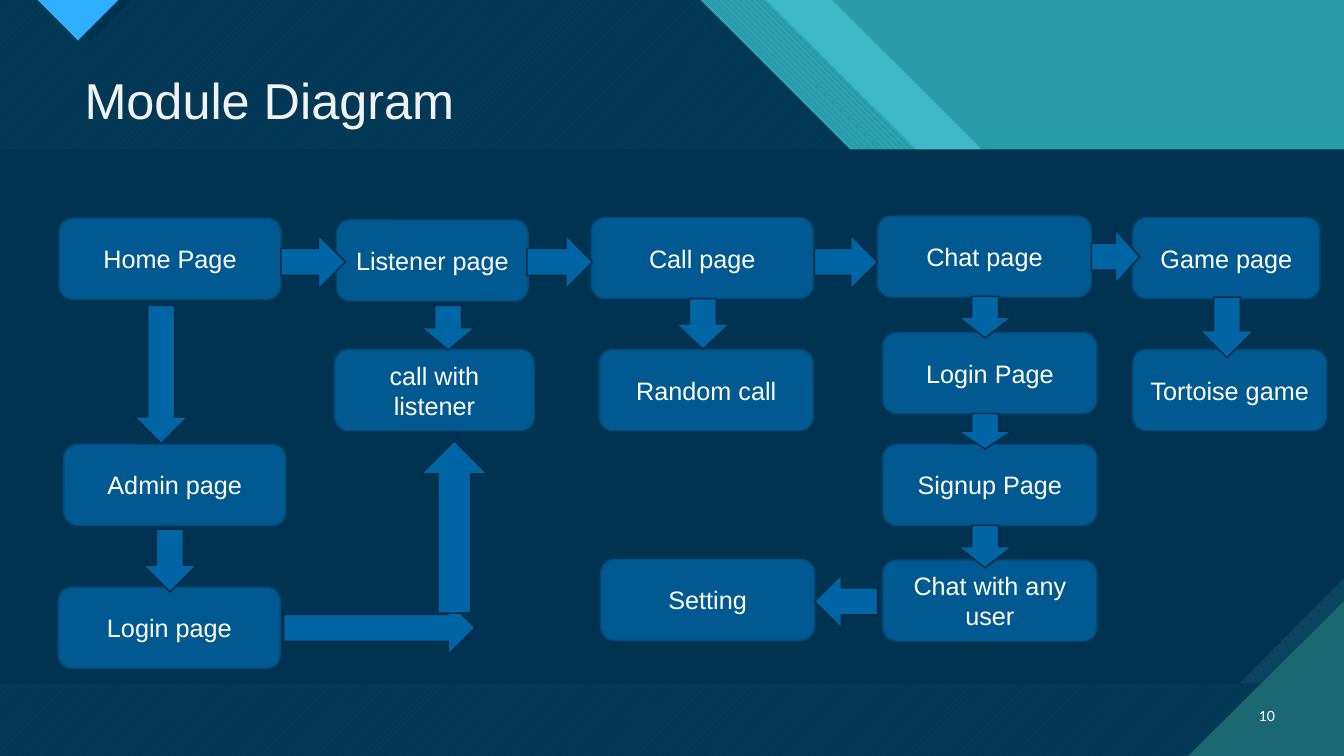
from lxml import etree
from pptx import Presentation
from pptx.dml.color import RGBColor
from pptx.enum.dml import MSO_PATTERN as PATTERN
from pptx.enum.shapes import MSO_SHAPE as SHAPE
from pptx.enum.text import MSO_ANCHOR as ANCHOR, PP_ALIGN as ALIGN
from pptx.oxml.ns import qn
from pptx.util import Inches, Pt

NAVY = RGBColor(0x00, 0x33, 0x52)
STEEL = RGBColor(0x0C, 0x43, 0x60)
PINE = RGBColor(0x1B, 0x68, 0x72)
TEAL = RGBColor(0x29, 0x9C, 0xAB)
AQUA = RGBColor(0x47, 0xC3, 0xD3)
SKY = RGBColor(0x2F, 0xAF, 0xFF)
BLUE = RGBColor(0x00, 0x65, 0xA4)
BOX_EDGE = RGBColor(0x00, 0x4C, 0x7B)
ARROW_EDGE = RGBColor(0x00, 0x2C, 0x48)
WHITE = RGBColor(0xFF, 0xFF, 0xFF)
PALE = RGBColor(0xF2, 0xF2, 0xF2)


def paint(sp, color, alpha=100, edge=None):
    sp.shadow.inherit = False
    sp.fill.solid()
    sp.fill.fore_color.rgb = color
    if alpha < 100:
        clr = sp._element.spPr.find(qn("a:solidFill"))[0]
        etree.SubElement(clr, qn("a:alpha")).set("val", str(alpha * 1000))
    if edge is None:
        sp.line.fill.background()
    else:
        sp.line.color.rgb = edge
        sp.line.width = Pt(1)


def write(sp, text, size=18, font="Arial", color=WHITE, align=ALIGN.CENTER, anchor=ANCHOR.MIDDLE):
    tf = sp.text_frame
    tf.word_wrap = True
    tf.vertical_anchor = anchor
    p = tf.paragraphs[0]
    p.alignment = align
    r = p.add_run()
    r.text = text
    r.font.size = Pt(size)
    r.font.name = font
    r.font.color.rgb = color


prs = Presentation()
prs.slide_width = Inches(13.33)
prs.slide_height = Inches(7.5)
COL = prs.slide_width / 100
ROW = prs.slide_height / 100
s = prs.slides.add_slide(prs.slide_layouts[6])
s.background.fill.solid()
s.background.fill.fore_color.rgb = TEAL

body = [(0, 0), (52.1, 0), (74.4, 39.6), (83.85, 39.6), (100, 68.3), (100, 100), (0, 100)]
backdrop = [
    ([(0, 0), (61.9, 0), (84.2, 39.6), (92.55, 39.6), (100, 52.8), (100, 100), (0, 100)], AQUA, 74, None),
    ([(5, 0), (57, 0), (79.35, 39.6), (88.8, 39.6), (100, 59.6), (100, 100), (5, 100)],
     AQUA, 100, (PATTERN.WIDE_DOWNWARD_DIAGONAL, TEAL)),
    (body, AQUA, 100, (PATTERN.WIDE_UPWARD_DIAGONAL, PINE)),
    (body, NAVY, 90, None),
    ([(3.6, 0), (6.75, 5.5), (9.8, 0)], NAVY, 100, None),
    ([(2.8, 0), (5.8, 5.35), (8.8, 0)], SKY, 100, None),
    ([(92.2, 90.4), (100, 76.4), (100, 90.4)], STEEL, 100, None),
    ([(0, 19.75), (100, 19.75), (100, 76.4), (92.2, 90.4), (0, 90.4)], NAVY, 100, None),
    ([(88.4, 100), (100, 100), (100, 79.5)], PINE, 100, None),
]
for points, color, alpha, weave in backdrop:
    corners = [(round(x * COL), round(y * ROW)) for x, y in points]
    outline = s.shapes.build_freeform(*corners[0], scale=1.0)
    outline.add_line_segments(corners[1:], close=True)
    sp = outline.convert_to_shape()
    paint(sp, color, alpha)
    if weave:
        sp.fill.patterned()
        sp.fill.pattern, sp.fill.back_color.rgb = weave
        sp.fill.fore_color.rgb = color

labels = [
    ("10", 92.3, 92.1, 3.3, 5.3,
     dict(size=10, font="Lato", align=ALIGN.RIGHT)),
    ("Module Diagram", 5.55, 8.5, 50, 9.5,
     dict(size=36, color=PALE, align=ALIGN.LEFT, anchor=ANCHOR.TOP)),
]
for text, x, y, w, h, style in labels:
    sp = s.shapes.add_textbox(round(x * COL), round(y * ROW), round(w * COL), round(h * ROW))
    write(sp, text, **style)

BOX_H = 10.7
boxes = [
    ("Home Page", 4.4, 28.9, 16.5),
    ("Admin page", 4.75, 58.8, 16.5),
    ("Login page", 4.35, 77.7, 16.5),
    ("Listener page", 25.05, 29.1, 14.25),
    ("call with listener", 24.9, 46.25, 14.85),
    ("Call page", 44, 28.8, 16.5),
    ("Random call", 44.6, 46.25, 15.9),
    ("Setting", 44.7, 74, 15.9),
    ("Chat page", 65.3, 28.6, 15.9),
    ("Login Page", 65.7, 44, 15.9),
    ("Signup Page", 65.7, 58.8, 15.9),
    ("Chat with any user", 65.7, 74.1, 15.9),
    ("Game page", 84.3, 28.8, 13.9),
    ("Tortoise game", 84.3, 46.25, 14.4),
]
for text, x, y, w in boxes:
    sp = s.shapes.add_shape(SHAPE.ROUNDED_RECTANGLE, round(x * COL), round(y * ROW),
                            round(w * COL), round(BOX_H * ROW))
    paint(sp, BLUE, 77, BOX_EDGE)
    write(sp, text)

ACROSS_H = 7.1
DOWN_W = 4
across = [(20.9, 31.1, 4.8, 0), (39.2, 31.1, 4.9, 0), (60.6, 31.1, 4.7, 0),
          (81.2, 30.4, 3.6, 0), (21.1, 79.5, 14.25, 0), (60.6, 76, 4.7, 180)]
down = [(10, 40.4, 18.3), (10.65, 70, 8.3), (31.35, 40.4, 5.9), (50.3, 39.5, 6.7),
        (71.3, 39.2, 5.5), (71.3, 54.7, 4.7), (71.3, 69.5, 5.6), (89.3, 39.3, 8)]
arrows = [(SHAPE.RIGHT_ARROW, x, y, w, ACROSS_H, turn) for x, y, w, turn in across]
arrows += [(SHAPE.DOWN_ARROW, x, y, DOWN_W, h, 0) for x, y, h in down]
arrows.append((SHAPE.DOWN_ARROW, 31.35, 58.3, 4.9, 22.8, 180))
for kind, x, y, w, h, turn in arrows:
    sp = s.shapes.add_shape(kind, round(x * COL), round(y * ROW), round(w * COL), round(h * ROW))
    sp.rotation = turn
    paint(sp, BLUE, edge=ARROW_EDGE)

prs.save("out.pptx")
